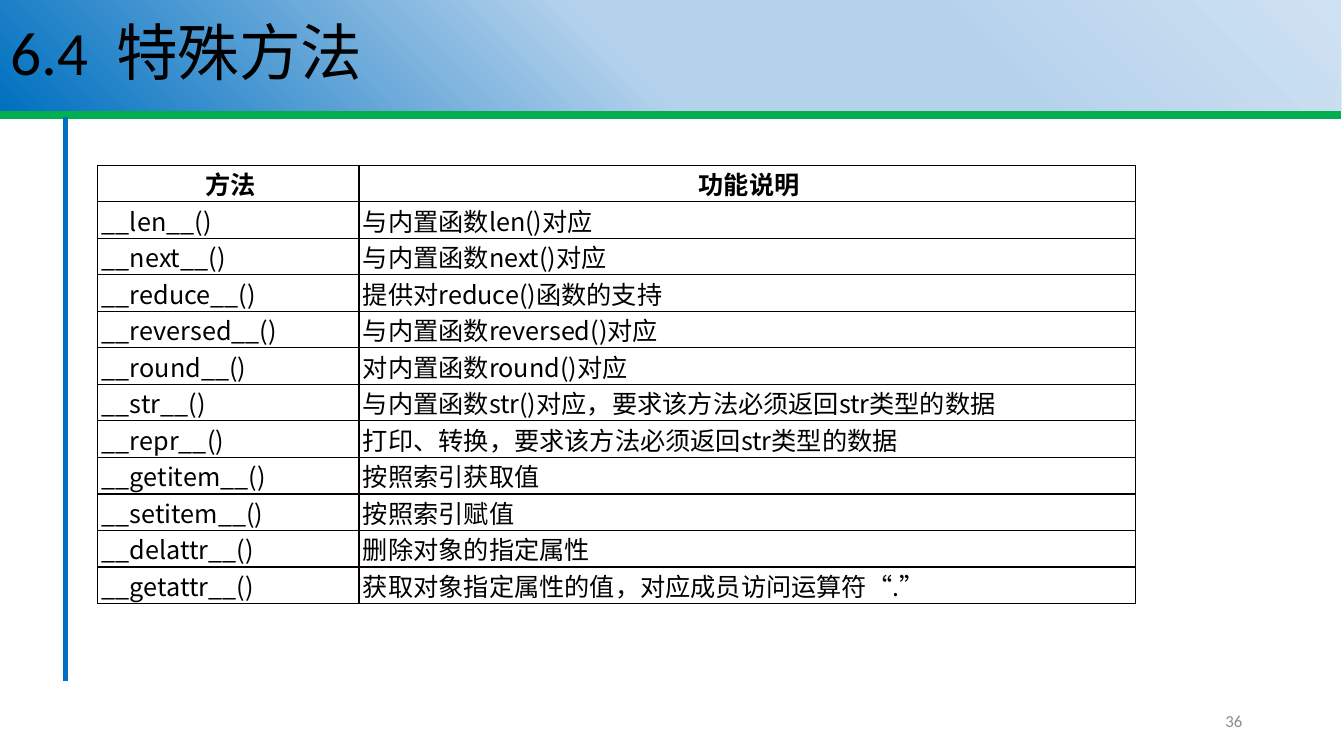
from dataclasses import dataclass
from typing import Any

from lxml.etree import SubElement
from pptx import Presentation
from pptx.dml.color import RGBColor
from pptx.enum.shapes import MSO_CONNECTOR as Connector
from pptx.enum.text import MSO_ANCHOR as Anchor, MSO_AUTO_SIZE as AutoSize, PP_ALIGN as Align
from pptx.oxml import parse_xml
from pptx.oxml.ns import nsdecls, qn
from pptx.util import Inches, Pt

WIDTH, HEIGHT = Inches(13.33), Inches(7.5)
TITLE_ONLY = 5

BLACK = RGBColor(0x00, 0x00, 0x00)
BORDER = RGBColor(0x08, 0x00, 0x00)
GREEN = RGBColor(0x00, 0xB0, 0x50)
BLUE = RGBColor(0x00, 0x70, 0xC0)
GRAY = RGBColor(0x8C, 0x8C, 0x8C)
PALE = RGBColor(0xCE, 0xE1, 0xF2)
SKY = RGBColor(0xB5, 0xD2, 0xEC)
BANNER_STOPS = ((1, PALE), (29, SKY), (53, SKY), (100, BLUE))

LATIN, CHINESE = "Calibri", "Noto Sans CJK SC"
TITLE_FONT = {"name": LATIN, "size": Pt(44), "bold": False}
NUMBER_FONT = {"name": LATIN, "size": Pt(12)}
HEAD_FONT = {"name": CHINESE, "size": Pt(18), "bold": True}
BODY_FONT = HEAD_FONT | {"bold": False}
CELL_FORMAT = {"margin_left": Inches(0.04), "margin_right": 0,
               "margin_top": 0, "margin_bottom": 0}

COLUMN_SHARES = (0.1943, 0.5777)
ROW_SHARE = 0.0483
METHODS = (
    ("方法", "功能说明"),
    ("__len__()", "与内置函数len()对应"),
    ("__next__()", "与内置函数next()对应"),
    ("__reduce__()", "提供对reduce()函数的支持"),
    ("__reversed__()", "与内置函数reversed()对应"),
    ("__round__()", "对内置函数round()对应"),
    ("__str__()", "与内置函数str()对应，要求该方法必须返回str类型的数据"),
    ("__repr__()", "打印、转换，要求该方法必须返回str类型的数据"),
    ("__getitem__()", "按照索引获取值"),
    ("__setitem__()", "按照索引赋值"),
    ("__delattr__()", "删除对象的指定属性"),
    ("__getattr__()", "获取对象指定属性的值，对应成员访问运算符“.”"),
)


@dataclass(frozen=True)
class Area:
    """A rectangle in shares of the slide's width and height."""
    left: float
    top: float
    width: float
    height: float

    def lengths(self) -> tuple[int, int, int, int]:
        return (int(self.left * WIDTH), int(self.top * HEIGHT),
                int(self.width * WIDTH), int(self.height * HEIGHT))


@dataclass(frozen=True)
class Rule:
    area: Area
    color: RGBColor
    weight: float


RULES = (
    Rule(Area(0, 0.152, 0.998, 0), GREEN, 5.25),
    Rule(Area(0.0488, 0.1547, 0, 0.7466), BLUE, 3.75),
)
BANNER = Area(0, 0, 0.998, 0.1467)
NUMBER = Area(0.7067, 0.9267, 0.225, 0.0533)
TABLE = Area(0.0728, 0.2187, sum(COLUMN_SHARES), ROW_SHARE * len(METHODS))


def apply(target: Any, values: dict[str, Any]) -> None:
    for name, value in values.items():
        setattr(target, name, value)


def write(frame: Any, text: str, font: dict[str, Any], color: RGBColor, align: Align) -> None:
    para = frame.paragraphs[0]
    para.alignment = align
    span = para.add_run()
    span.text = text
    apply(span.font, font)
    span.font.color.rgb = color
    if font["name"] == CHINESE:
        SubElement(span.font._element, qn("a:ea"), typeface=CHINESE)


def draw_rule(page: Any, rule: Rule) -> None:
    left, top, width, height = rule.area.lengths()
    line = page.shapes.add_connector(Connector.STRAIGHT, left, top, left + width, top + height)
    line.line.color.rgb = rule.color
    line.line.width = Pt(rule.weight)
    SubElement(line._element.spPr, qn("a:effectLst"))


def draw_title(page: Any, text: str) -> None:
    title = page.shapes.title
    apply(title, dict(zip(("left", "top", "width", "height"), BANNER.lengths())))
    stops = "".join(f'<a:gs pos="{share * 1000}"><a:srgbClr val="{color}"/></a:gs>'
                    for share, color in BANNER_STOPS)
    title._element.spPr.append(parse_xml(
        f'<a:gradFill {nsdecls("a")} rotWithShape="1"><a:gsLst>{stops}</a:gsLst>'
        f'<a:lin ang="{135 * 60000}" scaled="0"/></a:gradFill>'))
    frame = title.text_frame
    apply(frame, {"auto_size": AutoSize.NONE, "vertical_anchor": Anchor.MIDDLE,
                  "word_wrap": True})
    write(frame, text, TITLE_FONT, BLACK, Align.LEFT)
    frame.paragraphs[0].line_spacing = 0.9


def draw_number(page: Any, text: str) -> None:
    frame = page.shapes.add_textbox(*NUMBER.lengths()).text_frame
    apply(frame, {"word_wrap": True, "vertical_anchor": Anchor.MIDDLE})
    write(frame, text, NUMBER_FONT, GRAY, Align.RIGHT)


def add_borders(cell: Any) -> None:
    """Line all four sides; the lines must come before the cell's fill."""
    properties = cell._tc.get_or_add_tcPr()
    for index, side in enumerate("LRTB"):
        properties.insert(index, parse_xml(
            f'<a:ln{side} {nsdecls("a")} w="{Pt(1)}"><a:solidFill>'
            f'<a:srgbClr val="{BORDER}"/></a:solidFill></a:ln{side}>'))


def draw_table(page: Any) -> None:
    table = page.shapes.add_table(len(METHODS), len(COLUMN_SHARES), *TABLE.lengths()).table
    apply(table, {"first_row": False, "horz_banding": False})
    for column, share in zip(table.columns, COLUMN_SHARES):
        column.width = int(share * WIDTH)
    for row_index, (row, texts) in enumerate(zip(table.rows, METHODS)):
        row.height = int(ROW_SHARE * HEIGHT)
        font, align = (BODY_FONT, Align.LEFT) if row_index else (HEAD_FONT, Align.CENTER)
        for cell, text in zip(row.cells, texts):
            apply(cell, CELL_FORMAT)
            cell.fill.background()
            add_borders(cell)
            write(cell.text_frame, text, font, BLACK, align)


def main() -> None:
    deck = Presentation()
    apply(deck, {"slide_width": WIDTH, "slide_height": HEIGHT})
    page = deck.slides.add_slide(deck.slide_layouts[TITLE_ONLY])
    for rule in RULES:
        draw_rule(page, rule)
    draw_title(page, "6.4  特殊方法")
    draw_number(page, "36")
    draw_table(page)
    deck.save("out.pptx")


if __name__ == "__main__":
    main()
